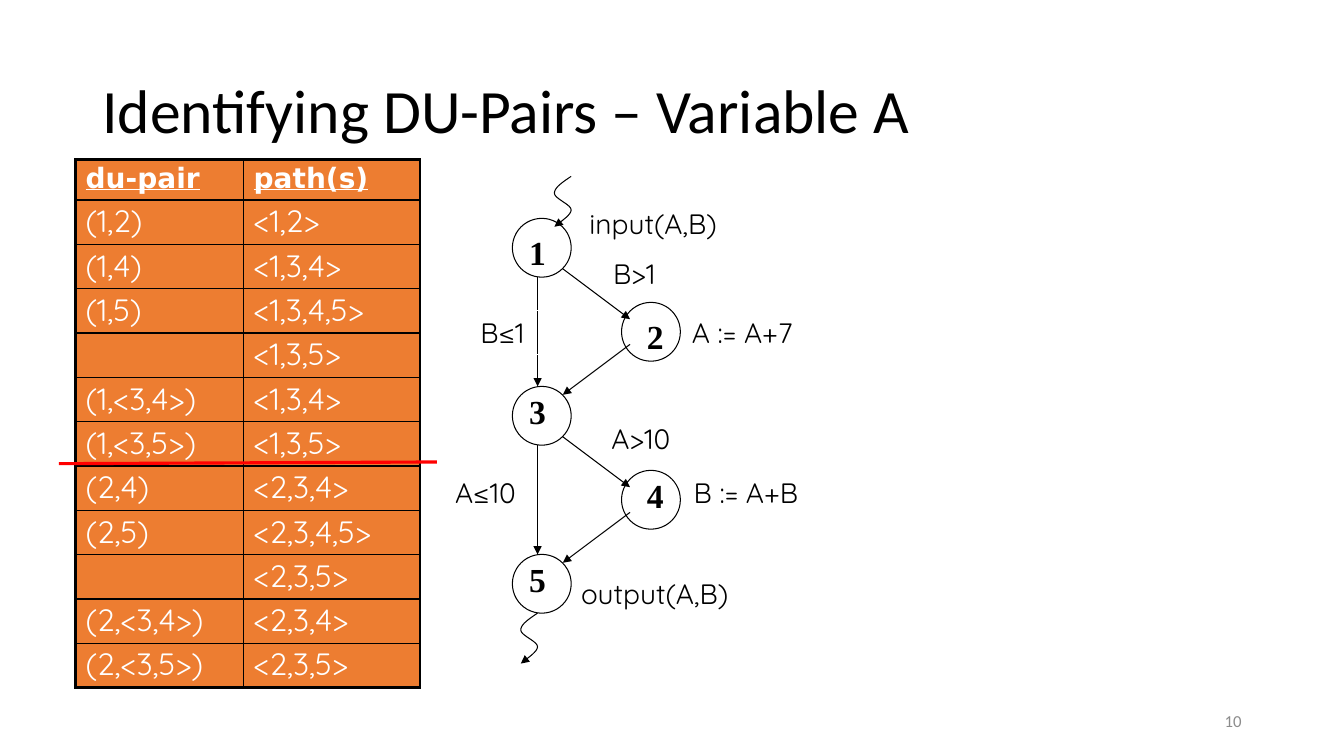
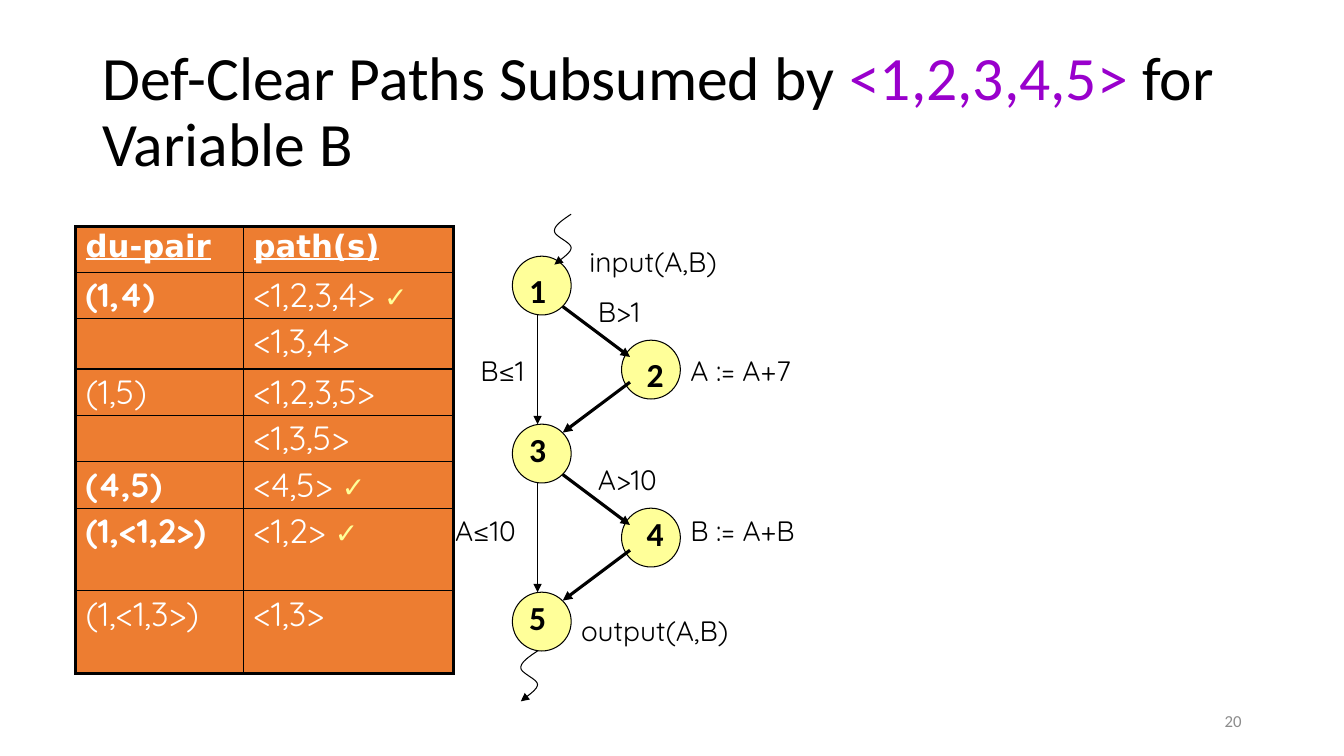
"""Build two slides on du-pairs: a path table beside its control-flow graph."""
from lxml.etree import SubElement
from pptx import Presentation
from pptx.dml.color import RGBColor
from pptx.enum.shapes import MSO_CONNECTOR, MSO_SHAPE
from pptx.enum.text import MSO_ANCHOR, PP_ALIGN
from pptx.oxml.ns import qn
from pptx.util import Inches, Pt

BLACK = RGBColor(0x00, 0x00, 0x00)
WHITE = RGBColor(0xFF, 0xFF, 0xFF)
GRAY = RGBColor(0x8C, 0x8C, 0x8C)
ORANGE = RGBColor(0xED, 0x7D, 0x31)
YELLOW = RGBColor(0xFF, 0xFF, 0x99)
PURPLE = RGBColor(0x99, 0x00, 0xCC)
RED = RGBColor(0xFF, 0x00, 0x00)

THIN, THICK = 0.75, 2.25
TITLE = {"size": Pt(44), "name": "Calibri"}
FOOTER = {"size": Pt(12), "name": "Calibri"}
LABEL = {"size": Pt(20), "name": "Quicksand"}
HEADER = {"name": "DejaVu Sans", "bold": True, "underline": True}

GRAPH_X, NODE, STEP, RIGHT = 61, 7, 10, 13
TABLE_X, PAIR_COL = 9, 20
SQUIGGLE = [(2, 0), (1, 0.67), (0, 1.33), (0, 2), (0, 2.67), (2, 3.33),
            (2, 4), (2, 4.67), (0.4, 5.6), (0, 6)]

ROWS_A = [("(1,2)", "<1,2>"), ("(1,4)", "<1,3,4>"), ("(1,5)", "<1,3,4,5>"),
          ("", "<1,3,5>"), ("(1,<3,4>)", "<1,3,4>"), ("(1,<3,5>)", "<1,3,5>"),
          ("(2,4)", "<2,3,4>"), ("(2,5)", "<2,3,4,5>"), ("", "<2,3,5>"),
          ("(2,<3,4>)", "<2,3,4>"), ("(2,<3,5>)", "<2,3,5>")]
ROWS_B = [("(1,4)", "<1,2,3,4>"), ("", "<1,3,4>"), ("(1,5)", "<1,2,3,5>"),
          ("", "<1,3,5>"), ("(4,5)", "<4,5>"), ("(1,<1,2>)", "<1,2>"),
          ("(1,<1,3>)", "<1,3>")]
COVERED = {"(1,4)", "(4,5)", "(1,<1,2>)"}


def grid(n):
    """Turn grid units, twelve to the inch, into a length."""
    return Inches(n / 12)


def set_all(obj, values):
    """Set every attribute named in values."""
    for name, value in values.items():
        setattr(obj, name, value)


def add_run(p, text, font, color=BLACK):
    """Append a formatted run to a paragraph."""
    r = p.add_run()
    r.text = text
    set_all(r.font, font)
    r.font.color.rgb = color


def add_text(slide, box, runs, font, align=PP_ALIGN.LEFT, **frame):
    """Add a text box placed in grid units, from (text, colour) runs."""
    sp = slide.shapes.add_textbox(*map(grid, box))
    tf = sp.text_frame
    set_all(tf, {"word_wrap": True, **frame})
    p = tf.paragraphs[0]
    p.alignment = align
    for text, color in runs:
        add_run(p, text, font, color)
    return sp


def finish_line(sp, width, color=BLACK, arrow=True):
    """Format an open line, with no shadow and an optional arrowhead."""
    sp.line.color.rgb = color
    sp.line.width = Pt(width)
    spPr = sp.element.spPr
    if arrow:
        SubElement(spPr.find(qn("a:ln")), qn("a:tailEnd"), type="triangle")
    if spPr.find(qn("a:effectLst")) is None:
        SubElement(spPr, qn("a:effectLst"))


def add_line(slide, start, end, width=THIN, **look):
    """Draw a straight line between two grid points."""
    sp = slide.shapes.add_connector(MSO_CONNECTOR.STRAIGHT,
                                    *map(grid, (*start, *end)))
    finish_line(sp, width, **look)


def bezier(points, t):
    """Return the point at t on a cubic curve."""
    weights = (1 - t) ** 3, 3 * t * (1 - t) ** 2, 3 * t * t * (1 - t), t ** 3
    return tuple(sum(w * pt[axis] for w, pt in zip(weights, points))
                 for axis in (0, 1))


def add_squiggle(slide, x, y):
    """Draw a wavy arrow whose box starts at a grid point."""
    curve = [SQUIGGLE[0]] + [bezier(SQUIGGLE[i:i + 4], k / 10)
                             for i in (0, 3, 6) for k in range(1, 11)]
    points = [(grid(x + dx), grid(y + dy)) for dx, dy in curve]
    builder = slide.shapes.build_freeform(*points[0])
    builder.add_line_segments(points[1:], close=False)
    sp = builder.convert_to_shape()
    sp.shadow.inherit = False
    sp.fill.background()
    finish_line(sp, THIN)


def add_node(slide, number, x, y, fill, font):
    """Draw a numbered circle of the graph."""
    row = number - 1
    left = x + (RIGHT if row % 2 else 0)
    top = y + row * STEP
    sp = slide.shapes.add_shape(MSO_SHAPE.OVAL,
                                *map(grid, (left, top, NODE, NODE)))
    sp.shadow.inherit = False
    sp.fill.solid()
    sp.fill.fore_color.rgb = fill
    sp.line.color.rgb = BLACK
    sp.line.width = Pt(THIN)
    box = left + row % 2, top + (number < 3), 6, 6
    add_text(slide, box, [(str(number), BLACK)],
             {"size": Pt(24), "bold": True, "name": font}, PP_ALIGN.CENTER)


def add_graph(slide, y, fill, font, branch_width, labels, outlined=()):
    """Draw the five-node flow graph with its labels."""
    x = GRAPH_X
    for number in range(1, 6):
        add_node(slide, number, x, y, fill, font)
    for top in (y, y + 2 * STEP):
        add_line(slide, (x + 6, top + 6), (x + 14, top + 12), branch_width)
        add_line(slide, (x + 14, top + 15), (x + 6, top + 21), branch_width)
        add_line(slide, (x + 3, top + NODE), (x + 3, top + 2 * STEP))
    add_squiggle(slide, x + 5, y - 5)
    add_squiggle(slide, x + 1, y + 47)
    for text, (dx, dy, width) in labels.items():
        sp = add_text(slide, (x + dx, y + dy, width, 5.2),
                      [(text, BLACK)], LABEL)
        if text in outlined:
            sp.line.color.rgb = WHITE
            sp.line.width = Pt(THIN)


def graph_labels(shift_a, shift_b, greater_b, greater_a):
    """Return label places, given those that differ between slides."""
    return {"input(A,B)": (8, -2, 23), "A := A+7": (shift_a, 11, 23),
            "B := A+B": (shift_b, 30, 19), "B>1": (*greater_b, 11),
            "B≤1": (-5, 11, 9), "A>10": (*greater_a, 11),
            "A≤10": (-8, 30, 11), "output(A,B)": (7, 42, 23)}


def add_border(cell, side, width):
    """Add a black border to one side of a cell."""
    ln = SubElement(cell._tc.get_or_add_tcPr(), qn(f"a:ln{side}"),
                    w=str(Pt(width)))
    SubElement(SubElement(ln, qn("a:solidFill")), qn("a:srgbClr"),
               val=str(BLACK))


def add_pair_table(slide, top, path_col, heights, rows, header_size, size,
                   covered=()):
    """Add the table of du-pairs, ticking the covered ones."""
    table = slide.shapes.add_table(
        len(heights), 2, grid(TABLE_X), grid(top), grid(PAIR_COL + path_col),
        Inches(sum(heights))).table
    set_all(table, {"first_row": False, "horz_banding": False})
    for col, width in zip(table.columns, (PAIR_COL, path_col)):
        col.width = grid(width)
    for row, height in zip(table.rows, heights):
        row.height = Inches(height)
    last = len(rows)
    for i, texts in enumerate([("du-pair", "path(s)"), *rows]):
        ticked = texts[0] in covered
        for j, text in enumerate(texts):
            cell = table.cell(i, j)
            for side, outer in zip("LRTB", (j == 0, j == 1, i == 0, i == last)):
                add_border(cell, side, THICK if outer else 1)
            cell.fill.solid()
            cell.fill.fore_color.rgb = ORANGE
            p = cell.text_frame.paragraphs[0]
            p.line_spacing = 0.9
            if i == 0:
                add_run(p, text, {**HEADER, "size": Pt(header_size)}, WHITE)
            elif text:
                tick = ticked and j == 1
                add_run(p, text + " " * tick,
                        {"name": "Quicksand", "size": Pt(size),
                         "bold": ticked and j == 0}, WHITE)
                if tick:
                    add_run(p, "✓", {**LABEL, "bold": True}, YELLOW)


def add_slide(prs, title, number):
    """Add a blank slide with its title and slide number."""
    slide = prs.slides.add_slide(prs.slide_layouts[6])
    sp = add_text(slide, (11, 4.8, 138, 17.4), title, TITLE,
                  vertical_anchor=MSO_ANCHOR.MIDDLE)
    sp.text_frame.paragraphs[0].line_spacing = 0.9
    add_text(slide, (113, 83.4, 36, 4.8), [(str(number), GRAY)], FOOTER,
             PP_ALIGN.RIGHT, vertical_anchor=MSO_ANCHOR.MIDDLE)
    return slide


def main():
    """Build and save the presentation."""
    prs = Presentation()
    set_all(prs, {"slide_width": grid(160), "slide_height": grid(90)})

    slide = add_slide(prs, [("Identifying DU-Pairs – Variable A", BLACK)], 10)
    add_pair_table(slide, 19, 21, [0.4] + [0.44] * len(ROWS_A), ROWS_A, 20, 22)
    labels = graph_labels(20.2, 20.4, (10.8, 4), (10.6, 23.6))
    add_graph(slide, 26, WHITE, "Times New Roman", THIN, labels,
              labels.keys() - {"A≤10", "output(A,B)"})
    add_line(slide, (7, 55.2), (52, 55), THICK, color=RED, arrow=False)

    slide = add_slide(prs, [("Def-Clear Paths Subsumed by ", BLACK),
                            ("<1,2,3,4,5> ", PURPLE),
                            ("for Variable B", BLACK)], 20)
    heights = [0.45, 0.46, 0.5, 0.46, 0.46, 0.46, 0.82, 0.82]
    add_pair_table(slide, 27, 25, heights, ROWS_B, 22, 24, COVERED)
    add_graph(slide, 30.5, YELLOW, "Calibri", THICK,
              graph_labels(20, 20, (9, 4), (9, 24)))
    prs.save("out.pptx")


if __name__ == "__main__":
    main()
